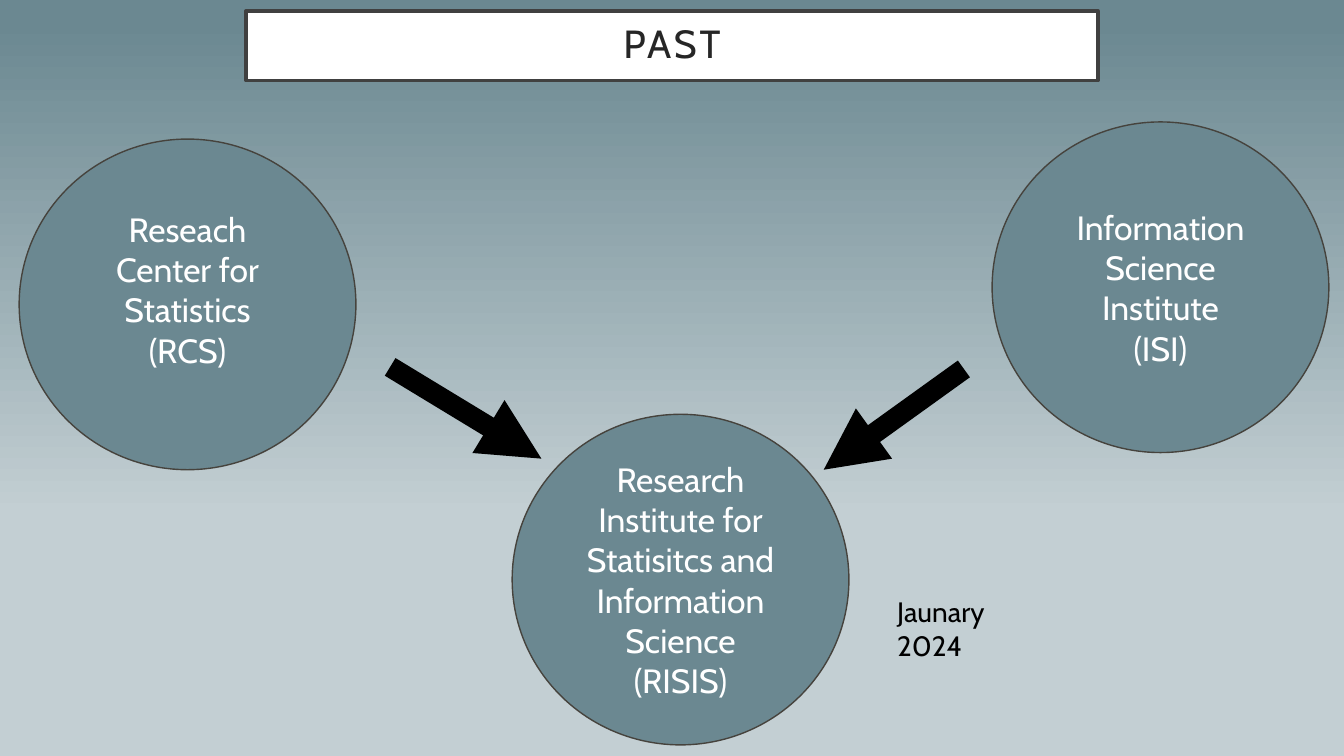
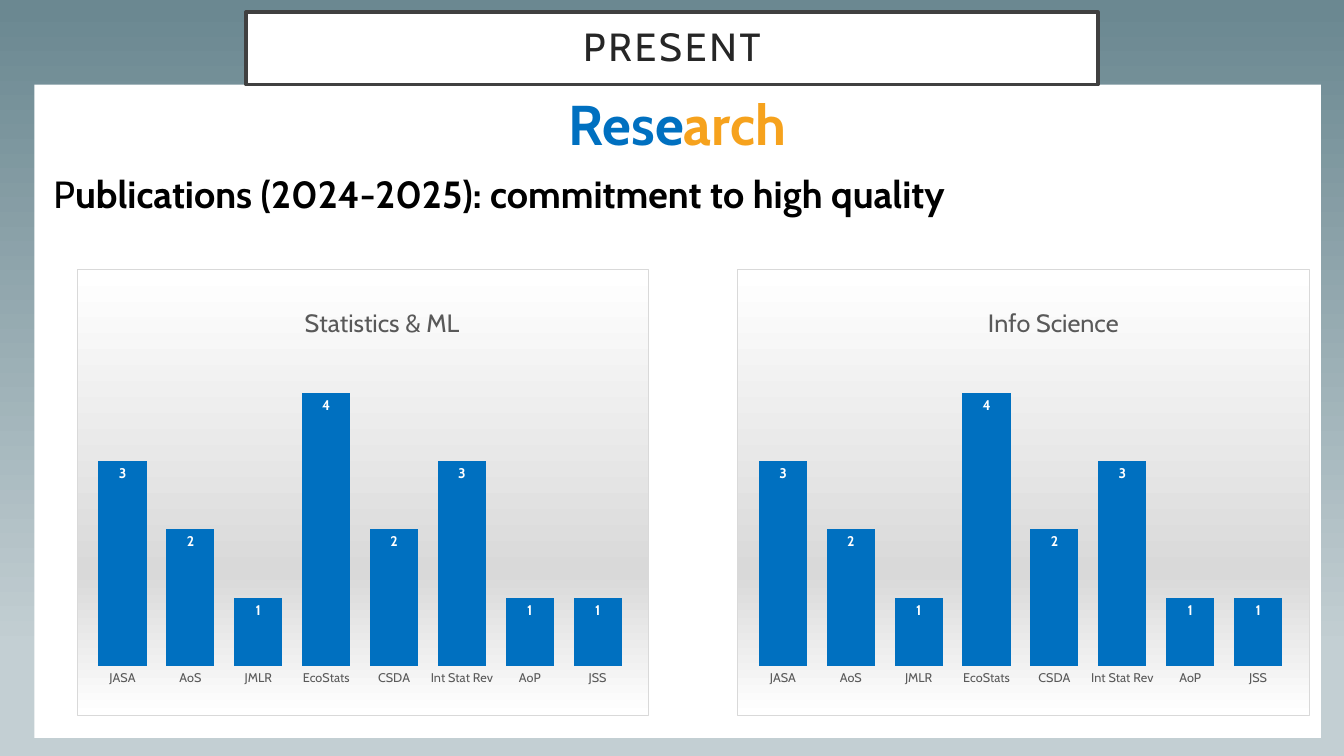
"""Build two slides on the past and present of a research institute."""
from lxml.etree import SubElement
from pptx import Presentation
from pptx.chart.data import CategoryChartData as ChartData
from pptx.dml.color import RGBColor as RGB
from pptx.enum.chart import XL_CHART_TYPE as KIND, XL_LABEL_POSITION as SPOT, XL_TICK_MARK as TICK
from pptx.enum.shapes import MSO_CONNECTOR as LINK, MSO_SHAPE as SHAPE
from pptx.enum.text import MSO_ANCHOR as ANCHOR, MSO_AUTO_SIZE as FIT, PP_ALIGN as ALIGN
from pptx.oxml import parse_xml
from pptx.oxml.ns import nsdecls, qn
from pptx.util import Inches, Pt

FONT = "Cabin"
HUES = {
    "teal": "6B8891", "mist": "C3CFD3", "white": "FFFFFF", "black": "000000",
    "ink": "262626", "frame": "404040", "rim": "46433D", "blue": "0070C0",
    "gold": "F6A21D", "gray": "595959", "pale": "D9D9D9",
}
HUE = {name: RGB.from_string(code) for name, code in HUES.items()}


def write(para, text, size, hue, bold=False, track=0, align=None):
    run = para.add_run()
    run.text = text
    font = run.font
    font.name, font.size, font.bold = FONT, Pt(size), bold
    font.color.rgb = HUE[hue]
    if track:
        font._element.set("spc", str(track * 100))
    if align is not None:
        para.alignment = align


def start(layout, text, top, high, stops):
    slide = deck.slides.add_slide(deck.slide_layouts[layout])
    fill = slide.background.fill
    fill.gradient()
    fill.gradient_angle = 270
    for stop, spot, name in zip(fill.gradient_stops, stops, ("teal", "mist")):
        stop.position = spot
        stop.color.rgb = HUE[name]
    title = slide.shapes.title
    title.left, title.top = Inches(2.44), Inches(top)
    title.width, title.height = Inches(8.45), Inches(high)
    title.fill.solid()
    title.fill.fore_color.rgb = HUE["white"]
    title.line.color.rgb = HUE["frame"]
    title.line.width = Pt(2.5)
    frame = title.text_frame
    frame.auto_size, frame.vertical_anchor = FIT.NONE, ANCHOR.MIDDLE
    frame.margin_left = frame.margin_right = Inches(0.2)
    frame.margin_top = frame.margin_bottom = Inches(0.2)
    para = frame.paragraphs[0]
    para.line_spacing = 0.9
    write(para, text, 28, "ink", track=2, align=ALIGN.CENTER)
    return slide


deck = Presentation()
deck.slide_width, deck.slide_height = Inches(13.33), Inches(7.5)

past = start(5, "PAST", 0.11, 0.69, (0.03, 0.68))
units = [
    (0.19, 1.38, 0.35, "Reseach Center for Statistics", "(RCS)"),
    (9.84, 1.21, 0.05, "Information Science Institute", "(ISI)"),
    (5.08, 4.11, 0.05, "Research Institute for Statisitcs and Information Science", "(RISIS)"),
]
for left, top, foot, name, short in units:
    disc = past.shapes.add_shape(SHAPE.OVAL, Inches(left), Inches(top), Inches(3.34), Inches(3.28))
    disc.shadow.inherit = False
    disc.fill.solid()
    disc.fill.fore_color.rgb = HUE["teal"]
    disc.line.color.rgb = HUE["rim"]
    disc.line.width = Pt(1)
    frame = disc.text_frame
    frame.word_wrap, frame.vertical_anchor = True, ANCHOR.MIDDLE
    frame.margin_bottom = Inches(foot)
    write(frame.paragraphs[0], name, 24, "white", align=ALIGN.CENTER)
    write(frame.add_paragraph(), short, 24, "white", align=ALIGN.CENTER)

date = past.shapes.add_textbox(Inches(8.8), Inches(5.85), Inches(1.2), Inches(0.78))
date.text_frame.word_wrap = True
write(date.text_frame.paragraphs[0], "Jaunary 2024", 20, "black")

for ends in ((3.87, 3.64, 5.37, 4.55), (9.56, 3.66, 8.17, 4.66)):
    arrow = past.shapes.add_connector(LINK.STRAIGHT, *map(Inches, ends))
    arrow.line.color.rgb = HUE["black"]
    arrow.line.width = Pt(14.75)
    props = arrow._element.spPr
    SubElement(props.find(qn("a:ln")), qn("a:tailEnd"), type="triangle")
    SubElement(props, qn("a:effectLst"))

now = start(1, "PRESENT", 0.12, 0.72, (0.01, 0.86))
body = now.placeholders[1]
now.shapes.title._element.addprevious(body._element)
body.left, body.top = Inches(0.34), Inches(0.84)
body.width, body.height = Inches(12.76), Inches(6.48)
body.fill.solid()
body.fill.fore_color.rgb = HUE["white"]
frame = body.text_frame
frame.auto_size, frame.vertical_anchor = FIT.NONE, ANCHOR.TOP
head, lead = frame.paragraphs[0], frame.add_paragraph()
for para, gap, indent in ((head, 0, 0), (lead, 10, 0.09)):
    para.space_before = Pt(gap)
    props = para._element.get_or_add_pPr()
    props.set("marL", str(Inches(indent)))
    props.set("indent", "0")
    SubElement(props, qn("a:buNone"))
write(head, "Rese", 40, "blue", bold=True, align=ALIGN.CENTER)
write(head, "arch", 40, "gold", bold=True)
write(lead, "P", 27, "black")
write(lead, "ublications (2024-2025): commitment to high quality", 27, "black", bold=True)

names = ["JASA", "AoS", "JMLR", "EcoStats", "CSDA", "Int Stat Rev", "AoP", "JSS"]
charts = [
    (0.76, "Statistics & ML", 0.39, (3, 2, 1, 4, 2, 3, 1, 1)),
    (7.31, "Info Science", 0.43, (3, 2, 1, 4, 2, 3, 1, 1)),
]
shades = "".join(
    f'<a:gs pos="{spot * 1000}"><a:srgbClr val="{HUES[name]}"/></a:gs>'
    for spot, name in ((0, "white"), (68, "pale"), (100, "white"))
)
panel = (
    f'<c:spPr {nsdecls("c", "a")}><a:gradFill><a:gsLst>{shades}</a:gsLst>'
    f'<a:lin ang="5400000" scaled="0"/></a:gradFill><a:ln w="{Pt(0.75)}"><a:solidFill>'
    f'<a:srgbClr val="{HUES["pale"]}"/></a:solidFill></a:ln></c:spPr>'
)
for left, text, shift, counts in charts:
    data = ChartData()
    data.categories = names
    data.add_series("Series 1", counts)
    chart = now.shapes.add_chart(
        KIND.COLUMN_CLUSTERED, Inches(left), Inches(2.67), Inches(5.68), Inches(4.43), data
    ).chart
    chart.has_legend = False
    chart.font.name, chart.font.size = FONT, Pt(10)
    chart.font.color.rgb = HUE["black"]
    chart.has_title = True
    write(chart.chart_title.text_frame.paragraphs[0], text, 18, "gray")

    axis = chart.category_axis
    axis.major_tick_mark = axis.minor_tick_mark = TICK.NONE
    axis.format.line.fill.background()
    font = axis.tick_labels.font
    font.name, font.size = FONT, Pt(9)
    font.color.rgb = HUE["gray"]
    scale = chart.value_axis
    scale.minimum_scale, scale.maximum_scale = 0, 4.5
    scale.has_major_gridlines = scale.visible = False

    plot = chart.plots[0]
    plot.gap_width, plot.vary_by_categories = 41, False
    bars = plot.series[0].format.fill
    bars.solid()
    bars.fore_color.rgb = HUE["blue"]
    plot.has_data_labels = True
    labels = plot.data_labels
    labels.show_value, labels.position = True, SPOT.INSIDE_END
    font = labels.font
    font.name, font.size, font.bold = FONT, Pt(10), True
    font.color.rgb = HUE["white"]

    root = chart._chartSpace.find(qn("c:chart"))
    root.addnext(parse_xml(panel))
    places = [
        (root.find(qn("c:plotArea")), 0, {
            "layoutTarget": "inner", "xMode": "edge", "yMode": "edge",
            "x": 0.02, "y": 0.2, "w": 0.95, "h": 0.69}),
        (root.find(qn("c:title")), 1, {"xMode": "edge", "yMode": "edge", "x": shift, "y": 0.07}),
    ]
    for node, slot, rules in places:
        for old in node.findall(qn("c:layout")):
            node.remove(old)
        inner = "".join(f'<c:{key} val="{val}"/>' for key, val in rules.items())
        node.insert(slot, parse_xml(
            f'<c:layout {nsdecls("c")}><c:manualLayout>{inner}</c:manualLayout></c:layout>'))

deck.save("out.pptx")
